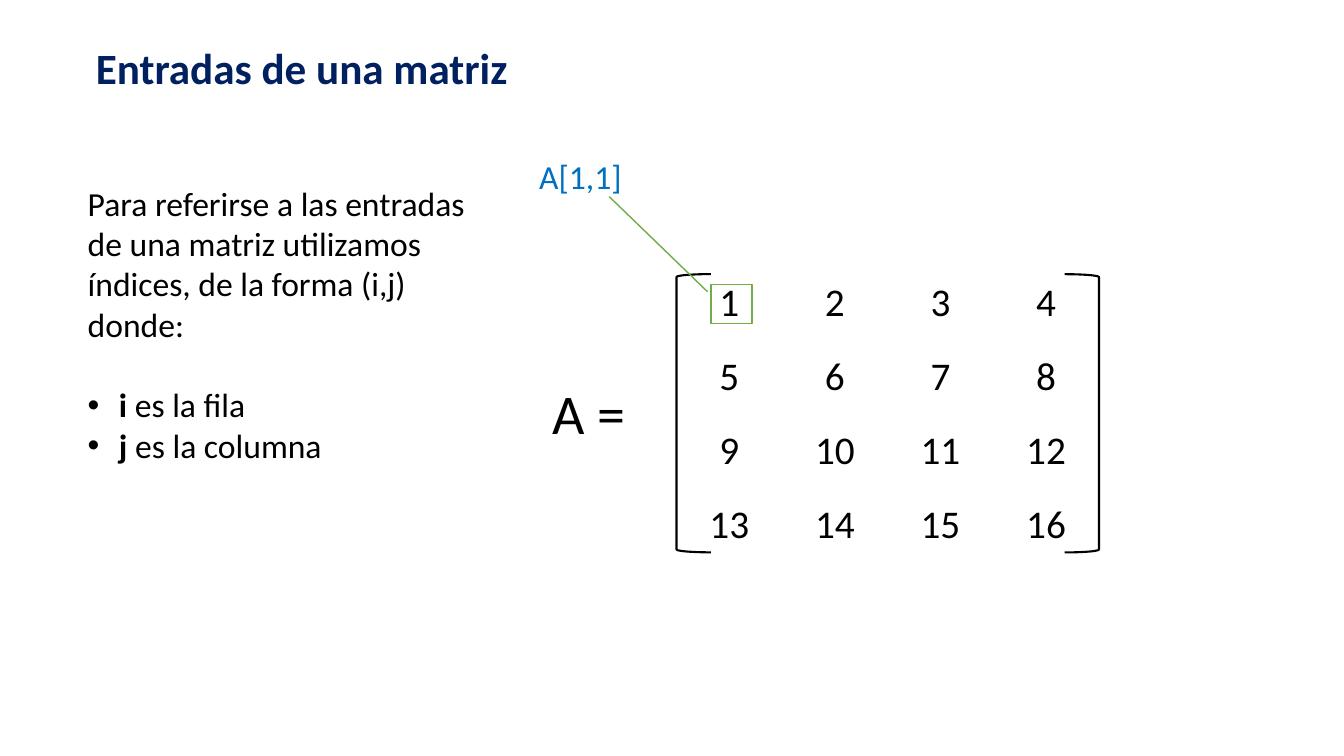
from lxml.etree import SubElement
from pptx import Presentation
from pptx.dml.color import RGBColor
from pptx.enum.shapes import MSO_SHAPE as SHAPE
from pptx.enum.text import MSO_ANCHOR as ANCHOR, MSO_AUTO_SIZE as AUTO, PP_ALIGN as ALIGN
from pptx.oxml.ns import qn
from pptx.util import Emu, Inches, Pt

FONT = "Calibri"
COLORS = {"title": "002060", "text": "000000", "label": "0070C0", "mark": "70AD47"}
SIZE = 4  # rows and columns of the matrix


def rgb(name):
    return RGBColor.from_string(COLORS[name])


def place(sp, box):
    sp.left, sp.top, sp.width, sp.height = (Inches(v) for v in box)


def style(p, size, color="text", bold=False):
    for r in p.runs:
        r.font.name, r.font.size, r.font.bold = FONT, Pt(size), bold
        r.font.color.rgb = rgb(color)


def add_title(s, box):
    sp = s.shapes.title
    place(sp, box)
    tf = sp.text_frame
    tf.text = "Entradas de una matriz"
    tf.auto_size, tf.vertical_anchor = AUTO.NONE, ANCHOR.BOTTOM
    p = tf.paragraphs[0]
    p.alignment, p.line_spacing = ALIGN.CENTER, 0.8
    style(p, 30.8, "title", True)


def set_bullet(p, char=None):
    pPr = p._p.get_or_add_pPr()
    indent = Inches(0.31) if char else 0
    pPr.set("marL", str(indent))
    pPr.set("indent", str(-indent))
    if char:
        SubElement(pPr, qn("a:buFont")).set("typeface", "Arial")
        SubElement(pPr, qn("a:buChar")).set("char", char)
    else:
        SubElement(pPr, qn("a:buNone"))


def add_explanation(s, box):
    sp = s.placeholders[1]
    place(sp, box)
    tf = sp.text_frame
    tf.text = ("Para referirse a las entradas de una matriz utilizamos "
               "índices, de la forma (i,j) donde:")
    tf.auto_size, tf.vertical_anchor = AUTO.NONE, ANCHOR.TOP
    for index, meaning in (("i", " es la fila"), ("j", " es la columna")):
        p = tf.add_paragraph()
        for text in (index, meaning):
            p.add_run().text = text
    for n, p in enumerate(tf.paragraphs):
        p.space_before = Pt(29 if n == 1 else 0)  # gap above the list
        set_bullet(p, "•" if n else None)
        style(p, 24)
        if n:
            p.runs[0].font.bold = True


def add_label(s, box, text, size, color):
    sp = s.shapes.add_textbox(*(Inches(v) for v in box))
    tf = sp.text_frame
    tf.word_wrap = True
    tf.text = text
    style(tf.paragraphs[0], size, color)


def add_outline(s, kind, box, color, width):
    sp = s.shapes.add_shape(kind, *(Inches(v) for v in box))
    sp.shadow.inherit = False
    sp.fill.background()
    sp.line.color.rgb, sp.line.width = rgb(color), Pt(width)
    return sp


def add_matrix(s, box):
    x, y, w, h = box
    # Entries, numbered row by row
    table = s.shapes.add_table(SIZE, SIZE, *(Inches(v) for v in box)).table
    table.first_row = table.horz_banding = False
    for n, cell in enumerate(table.iter_cells(), 1):
        cell.fill.background()
        cell.text = str(n)
        p = cell.text_frame.paragraphs[0]
        p.alignment = ALIGN.CENTER
        style(p, 28)

    # Brackets at both sides
    arm, tall = 0.34, 2.76
    for left, turn in ((x, 0), (x + w - arm, 180)):
        sp = add_outline(s, SHAPE.LEFT_BRACKET, (left, y, arm, tall), "text", 1.5)
        sp.rotation = turn

    # Callout around the first entry, its line leading to the label
    sp = add_outline(s, SHAPE.LINE_CALLOUT_1, (x + arm, y + 0.1, 0.41, 0.39), "mark", 1)
    for n, value in enumerate((0.19, -0.08, -2.23, -2.46)):
        sp.adjustments[n] = value

    add_label(s, (x - 1.33, y + 0.99, 1.04, 0.77), "A =", 40, "text")
    add_label(s, (x - 1.46, y - 1.22, 1.04, 0.5), "A[1,1]", 24, "label")


def main():
    prs = Presentation()
    prs.slide_width, prs.slide_height = Inches(13.33), Inches(7.5)
    s = prs.slides.add_slide(prs.slide_layouts[1])
    add_title(s, (0.73, 0.18, 4.53, 0.79))
    add_explanation(s, (0.77, 1.76, 4.19, 2.93))
    add_matrix(s, (6.71, 2.72, 4.19, 2.94))
    prs.save("out.pptx")


if __name__ == "__main__":
    main()
